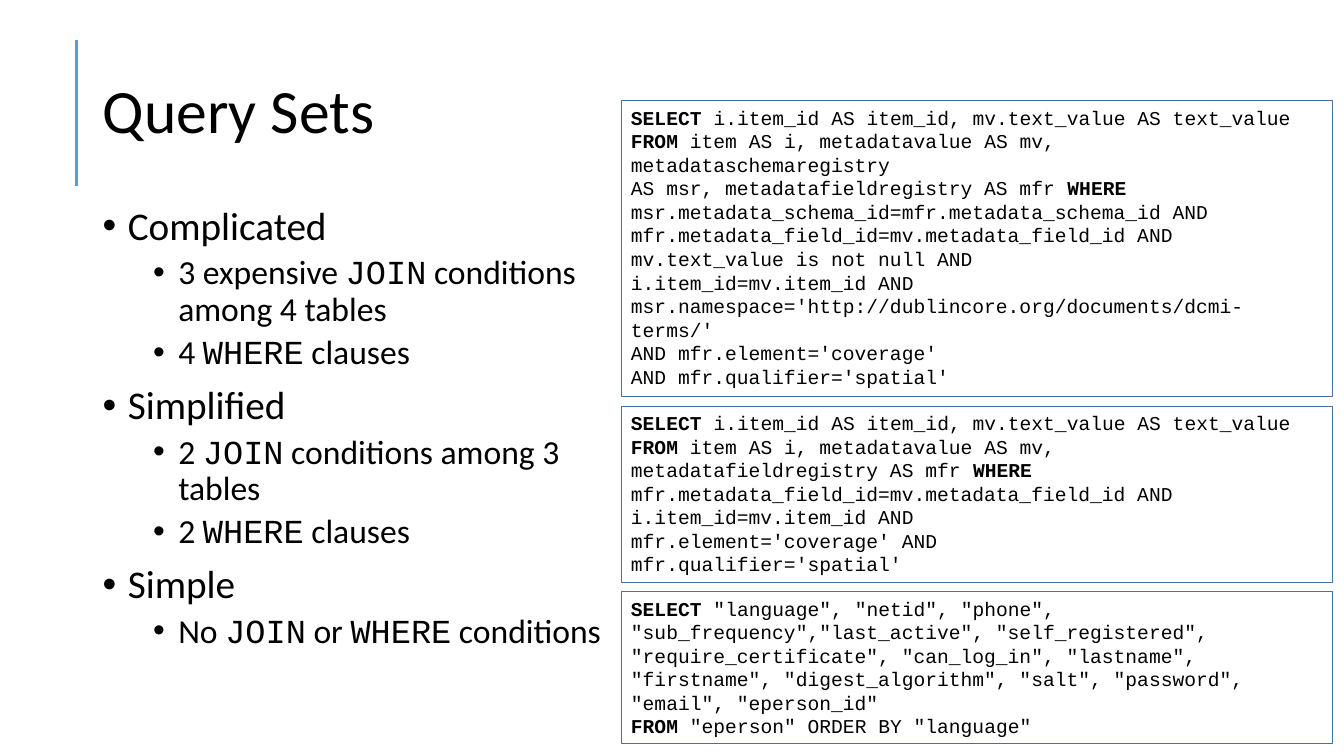
from lxml import etree
from pptx import Presentation
from pptx import util as u
from pptx.dml.color import RGBColor
from pptx.enum import shapes, text
from pptx.oxml.ns import qn

COLORS = {"ink": "000000", "accent": "5B9BD5", "frame": "43739E"}
BODY_FONT, CODE_FONT = "Calibri", "Courier New"

# Backticks enclose the emphasised words: code in bullets, bold in queries.
BULLETS = [
    (0, "Complicated"),
    (1, "3 expensive `JOIN` conditions among 4 tables"),
    (1, "4 `WHERE` clauses"),
    (0, "Simplified"),
    (1, "2 `JOIN` conditions among 3 tables"),
    (1, "2 `WHERE` clauses"),
    (0, "Simple"),
    (1, "No `JOIN` or `WHERE` conditions"),
]

SELECT_ITEMS = "`SELECT `i.item_id AS item_id, mv.text_value AS text_value"
QUERIES = [
    (1, 2.93, [
        SELECT_ITEMS,
        "`FROM` item AS i, metadatavalue AS mv, metadataschemaregistry",
        "AS msr, metadatafieldregistry AS mfr `WHERE`",
        "msr.metadata_schema_id=mfr.metadata_schema_id AND",
        "mfr.metadata_field_id=mv.metadata_field_id AND",
        "mv.text_value is not null AND",
        "i.item_id=mv.item_id AND",
        "msr.namespace='http://dublincore.org/documents/dcmi-terms/'",
        "AND mfr.element='coverage'",
        "AND mfr.qualifier='spatial'",
    ]),
    (4.03, 1.75, [
        SELECT_ITEMS,
        "`FROM` item AS i, metadatavalue AS mv,",
        "metadatafieldregistry AS mfr `WHERE`",
        "mfr.metadata_field_id=mv.metadata_field_id AND",
        "i.item_id=mv.item_id AND",
        "mfr.element='coverage' AND",
        "mfr.qualifier='spatial'",
    ]),
    (5.87, 1.51, [
        '`SELECT` "language", "netid", "phone", "sub_frequency","last_active", '
        '"self_registered", "require_certificate", "can_log_in", "lastname", '
        '"firstname", "digest_algorithm", "salt", "password", "email", "eperson_id"',
        '`FROM` "eperson" ORDER BY "language"',
    ]),
]


class SlideBuilder:
    def __init__(self, deck):
        self.slide = deck.slides.add_slide(deck.slide_layouts[5])

    def color(self, name):
        return RGBColor.from_string(COLORS[name])

    def add_span(self, para, words, size, font=BODY_FONT, bold=False):
        span = para.add_run()
        span.text = words
        span.font.size = u.Pt(size)
        span.font.name = font
        span.font.bold = bold
        span.font.color.rgb = self.color("ink")

    def split_spans(self, line):
        """Yield (words, emphasised) for each non-empty part between backticks."""
        for index, words in enumerate(line.split("`")):
            if words:
                yield words, index % 2 == 1

    def paragraphs(self, frame, items):
        """Yield a paragraph with each item, reusing the frame's first one."""
        for index, item in enumerate(items):
            yield (frame.add_paragraph() if index else frame.paragraphs[0]), item

    def title(self, words, left, top, width, height):
        box = self.slide.shapes.title
        box.left, box.top = u.Inches(left), u.Inches(top)
        box.width, box.height = u.Inches(width), u.Inches(height)
        frame = box.text_frame
        frame.auto_size = text.MSO_AUTO_SIZE.NONE
        frame.vertical_anchor = text.MSO_ANCHOR.MIDDLE
        para = frame.paragraphs[0]
        para.alignment = text.PP_ALIGN.LEFT
        para.line_spacing = 0.9
        self.add_span(para, words, 44)

    def rule(self, x, top, bottom):
        line = self.slide.shapes.add_connector(
            shapes.MSO_CONNECTOR.STRAIGHT,
            u.Inches(x), u.Inches(top), u.Inches(x), u.Inches(bottom))
        line.line.color.rgb = self.color("accent")
        line.line.width = u.Pt(2)
        etree.SubElement(line._element.spPr, qn("a:effectLst"))

    def bullets(self, items, left, top, width, height):
        box = self.slide.shapes.add_textbox(
            u.Inches(left), u.Inches(top), u.Inches(width), u.Inches(height))
        frame = box.text_frame
        frame.word_wrap = True
        for para, (level, line) in self.paragraphs(frame, items):
            para.level = level
            para.line_spacing = 0.9
            para.space_before = u.Pt(5 if level else 10)
            props = para._p.get_or_add_pPr()
            props.set("marL", str(u.Inches(0.25 + 0.5 * level)))
            props.set("indent", str(u.Inches(-0.25)))
            etree.SubElement(props, qn("a:buFont"), typeface="Arial")
            etree.SubElement(props, qn("a:buChar"), char="•")
            for words, is_code in self.split_spans(line):
                self.add_span(para, words, 24 if level else 28,
                              CODE_FONT if is_code else BODY_FONT)

    def query(self, lines, left, top, width, height):
        box = self.slide.shapes.add_shape(
            shapes.MSO_SHAPE.RECTANGLE,
            u.Inches(left), u.Inches(top), u.Inches(width), u.Inches(height))
        box.shadow.inherit = False
        box.fill.background()
        box.line.color.rgb = self.color("frame")
        box.line.width = u.Pt(0.75)
        frame = box.text_frame
        frame.word_wrap = True
        frame.auto_size = text.MSO_AUTO_SIZE.SHAPE_TO_FIT_TEXT
        frame.vertical_anchor = text.MSO_ANCHOR.TOP
        for para, line in self.paragraphs(frame, lines):
            para.alignment = text.PP_ALIGN.LEFT
            for words, is_keyword in self.split_spans(line):
                self.add_span(para, words, 14, CODE_FONT, is_keyword)


def main():
    deck = Presentation()
    deck.slide_width, deck.slide_height = u.Inches(13.33), u.Inches(7.5)
    page = SlideBuilder(deck)
    page.rule(0.76, 0.4, 1.85)
    page.title("Query Sets", 0.92, 0.4, 11.5, 1.45)
    page.bullets(BULLETS, 0.92, 2, 5.24, 4.76)
    for top, height, lines in QUERIES:
        page.query(lines, 6.16, top, 7.06, height)
    deck.save("out.pptx")


if __name__ == "__main__":
    main()
